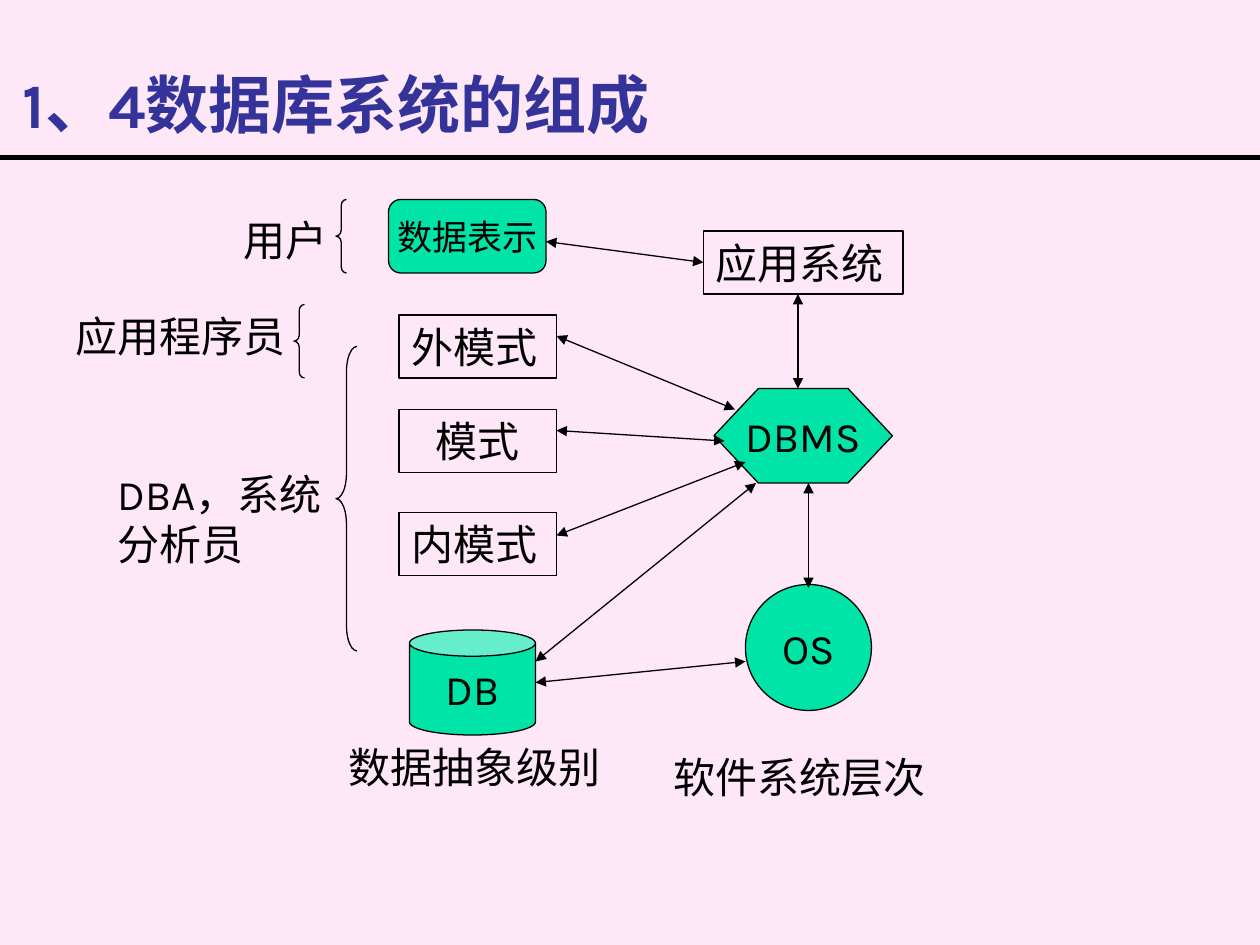
import lxml.etree
import pptx
import pptx.dml.color
import pptx.enum.shapes
import pptx.enum.text
import pptx.oxml.ns
import pptx.util

Pt = pptx.util.Pt
RGBColor = pptx.dml.color.RGBColor
MSO_SHAPE = pptx.enum.shapes.MSO_SHAPE
STRAIGHT = pptx.enum.shapes.MSO_CONNECTOR.STRAIGHT
ANCHOR = pptx.enum.text.MSO_ANCHOR
ALIGN = pptx.enum.text.PP_ALIGN
qn = pptx.oxml.ns.qn

PINK = RGBColor(0xFE, 0xE8, 0xF7)
GREEN = RGBColor(0x00, 0xE4, 0xA8)
BLUE = RGBColor(0x33, 0x33, 0x99)
BLACK = RGBColor(0, 0, 0)


def write(sp, text, size=24, color=BLACK, bold=False, anchor=ANCHOR.TOP,
          align=ALIGN.LEFT, wrap=True):
    tf = sp.text_frame
    tf.word_wrap = wrap
    tf.vertical_anchor = anchor
    p = tf.paragraphs[0]
    p.text = text
    p.alignment = align
    p.font.name = "Karla"
    p.font.size = Pt(size)
    p.font.bold = bold
    p.font.color.rgb = color


def add_line(x1, y1, x2, y2, width=0.75, arrows=True):
    """Add a black straight line, with a triangle at both ends if arrows."""
    cxn = s.shapes.add_connector(STRAIGHT, Pt(x1), Pt(y1), Pt(x2), Pt(y2))
    cxn.line.color.rgb = BLACK
    cxn.line.width = Pt(width)
    if arrows:
        ln = cxn.line._get_or_add_ln()
        for end in ("a:headEnd", "a:tailEnd"):
            lxml.etree.SubElement(ln, qn(end), type="triangle")
    lxml.etree.SubElement(cxn._element.spPr, qn("a:effectLst"))
    return cxn


prs = pptx.Presentation()
prs.slide_width = Pt(720)
prs.slide_height = Pt(540)
s = prs.slides.add_slide(prs.slide_layouts[6])
s.background.fill.solid()
s.background.fill.fore_color.rgb = PINK

# Title and rule
title = s.shapes.add_textbox(Pt(6), Pt(18), Pt(612), Pt(66))
write(title, "1、4数据库系统的组成", 36, BLUE, True, ANCHOR.BOTTOM)
add_line(0, 90, 720, 90, width=3, arrows=False)

# Green components
for kind, text, size, x, y, w, h in [
    (MSO_SHAPE.HEXAGON, "DBMS", 24, 408, 222, 102, 54),
    (MSO_SHAPE.OVAL, "OS", 24, 426, 334, 72, 72),
    (MSO_SHAPE.ROUNDED_RECTANGLE, "数据表示", 20, 222, 114, 90, 42),
    (MSO_SHAPE.CAN, "DB", 24, 234, 360, 72, 60),
]:
    sp = s.shapes.add_shape(kind, Pt(x), Pt(y), Pt(w), Pt(h))
    sp.shadow.inherit = False
    sp.fill.solid()
    sp.fill.fore_color.rgb = GREEN
    sp.line.color.rgb = BLACK
    sp.line.width = Pt(0.75)
    if kind == MSO_SHAPE.HEXAGON:
        sp.adjustments[0] = 0.47
    write(sp, text, size, anchor=ANCHOR.MIDDLE, align=ALIGN.CENTER, wrap=False)

# Outlined boxes
boxes = {}
for text, x, y, w, align in [
    ("应用系统", 402, 132, 114, ALIGN.LEFT),
    ("外模式", 228, 180, 90, ALIGN.LEFT),
    ("模式", 228, 234, 90, ALIGN.CENTER),
    ("内模式", 228, 293, 90, ALIGN.LEFT),
]:
    sp = s.shapes.add_shape(MSO_SHAPE.RECTANGLE, Pt(x), Pt(y), Pt(w), Pt(36))
    sp.shadow.inherit = False
    sp.fill.background()
    sp.line.color.rgb = BLACK
    sp.line.width = Pt(0.75)
    write(sp, text, align=align)
    boxes[text] = sp

# Double-headed arrows
app_link = add_line(312, 138, 402, 150)
app_link.end_connect(boxes["应用系统"], 1)
for ends in [
    (456, 168, 456, 222),
    (462, 276, 462, 336),
    (318, 192, 420, 234),
    (318, 246, 414, 252),
    (318, 306, 426, 264),
    (306, 378, 432, 276),
    (306, 390, 426, 378),
]:
    add_line(*ends)

# Braces
for x, y, w, h in [(192, 198, 12, 174), (168, 174, 6, 42), (192, 114, 6, 42)]:
    sp = s.shapes.add_shape(MSO_SHAPE.LEFT_BRACE, Pt(x), Pt(y), Pt(w), Pt(h))
    sp.shadow.inherit = False
    sp.adjustments[0] = h / w / 12
    sp.fill.background()
    sp.line.color.rgb = BLACK
    sp.line.width = Pt(0.75)

# Labels
for text, x, y, w, h in [
    ("数据抽象级别", 192, 420, 174, 36),
    ("软件系统层次", 378, 426, 174, 36),
    ("DBA，系统分析员", 60, 264, 138, 65),
    ("应用程序员", 36, 174, 174, 36),
    ("用户", 132, 119, 72, 36),
]:
    write(s.shapes.add_textbox(Pt(x), Pt(y), Pt(w), Pt(h)), text)

prs.save("out.pptx")
